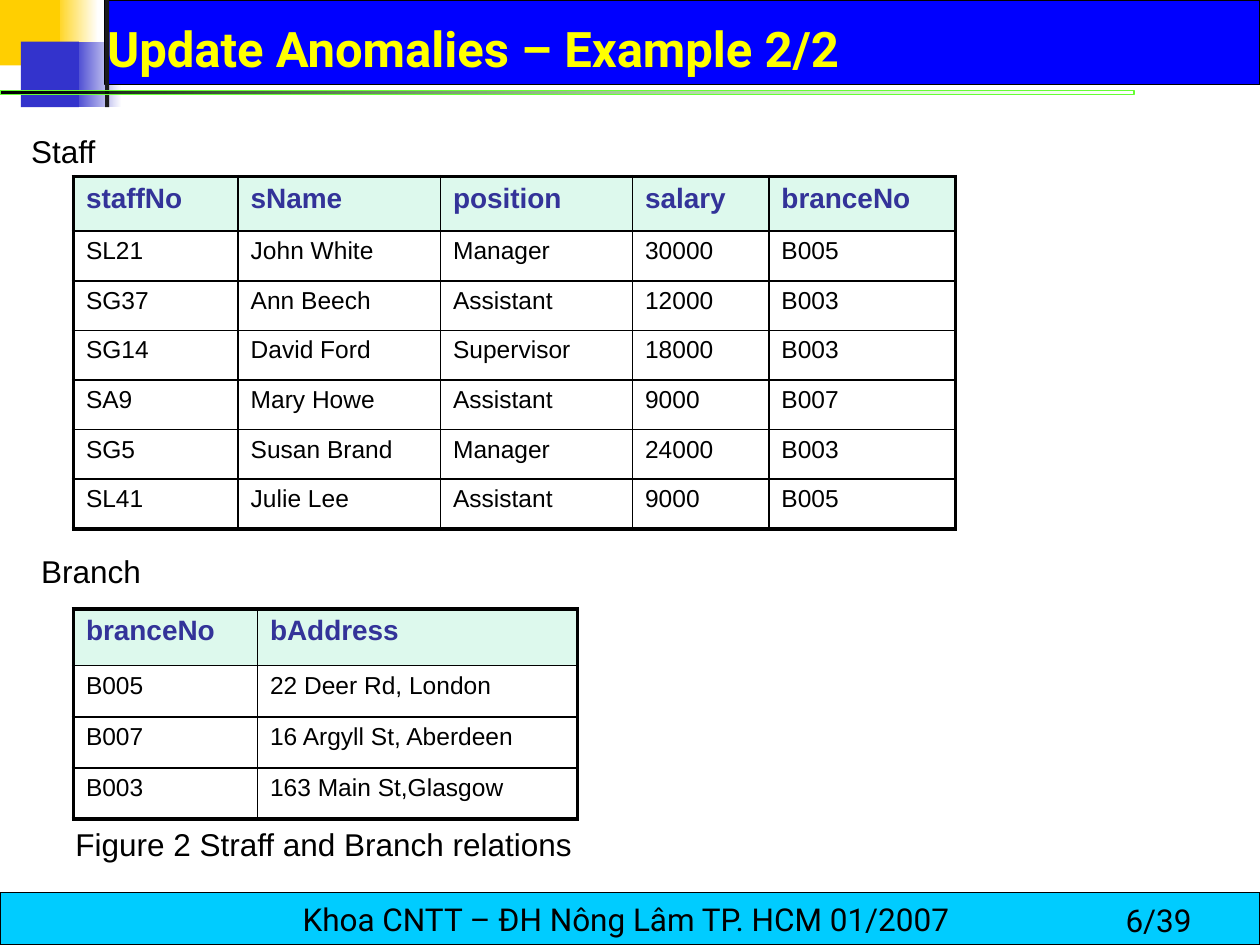
import lxml.etree
import pptx
import pptx.dml.color
import pptx.enum.shapes
import pptx.enum.text
import pptx.oxml.ns
import pptx.util

Cm = pptx.util.Cm
Pt = pptx.util.Pt
RGBColor = pptx.dml.color.RGBColor
ANCHOR = pptx.enum.text.MSO_ANCHOR
ALIGN = pptx.enum.text.PP_ALIGN
qn = pptx.oxml.ns.qn

BLACK = RGBColor(0x00, 0x00, 0x00)
WHITE = RGBColor(0xFF, 0xFF, 0xFF)
CHARCOAL = RGBColor(0x1C, 0x1C, 0x1C)
GOLD = RGBColor(0xFF, 0xCF, 0x01)
INDIGO = RGBColor(0x33, 0x33, 0xCC)
BLUE = RGBColor(0x00, 0x00, 0xFF)
CYAN = RGBColor(0x00, 0xCC, 0xFF)
GREEN = RGBColor(0x66, 0xFF, 0x33)
YELLOW = RGBColor(0xFF, 0xFF, 0x00)
MINT = RGBColor(0xDD, 0xF9, 0xED)
NAVY = RGBColor(0x33, 0x33, 0x99)

STAFF = [
    ["staffNo", "sName", "position", "salary", "branceNo"],
    ["SL21", "John White", "Manager", "30000", "B005"],
    ["SG37", "Ann Beech", "Assistant", "12000", "B003"],
    ["SG14", "David Ford", "Supervisor", "18000", "B003"],
    ["SA9", "Mary Howe", "Assistant", "9000", "B007"],
    ["SG5", "Susan Brand", "Manager", "24000", "B003"],
    ["SL41", "Julie Lee", "Assistant", "9000", "B005"],
]
BRANCH = [
    ["branceNo", "bAddress"],
    ["B005", "22 Deer Rd, London"],
    ["B007", "16 Argyll St, Aberdeen"],
    ["B003", "163 Main St,Glasgow"],
]


class SlideBuilder:
    body_font = "Arial"
    master_font = "Roboto"
    outer_border = Pt(2.25)
    inner_border = Pt(1)

    def __init__(self, slide):
        self.slide = slide

    def add_text_run(self, frame, text, size=18, font=body_font, color=BLACK, bold=False):
        paragraph = frame.paragraphs[0]
        run = paragraph.add_run()
        run.text = text
        run.font.size = Pt(size)
        run.font.name = font
        run.font.color.rgb = color
        run.font.bold = bold
        return paragraph

    def rectangle(self, left, top, width, height, color, fade=None, line=None, line_width=0.75):
        shape = self.slide.shapes.add_shape(
            pptx.enum.shapes.MSO_SHAPE.RECTANGLE, Cm(left), Cm(top), Cm(width), Cm(height))
        shape.shadow.inherit = False
        if fade is None:
            shape.fill.solid()
            shape.fill.fore_color.rgb = color
        else:
            shape.fill.gradient()
            shape.fill.gradient_angle = 0
            for stop, stop_color in zip(shape.fill.gradient_stops, (color, fade)):
                stop.color.rgb = stop_color
        if line is None:
            shape.line.fill.background()
        else:
            shape.line.color.rgb = line
            shape.line.width = Pt(line_width)
        return shape

    def clear_fade(self, shape):
        gradient = shape._element.spPr.find(qn("a:gradFill"))
        end_color = list(gradient.iter(qn("a:srgbClr")))[-1]
        lxml.etree.SubElement(end_color, qn("a:alpha"), val="0")

    def text(self, left, top, width, height, text, anchor=ANCHOR.TOP, **style):
        frame = self.slide.shapes.add_textbox(
            Cm(left), Cm(top), Cm(width), Cm(height)).text_frame
        frame.word_wrap = True
        frame.vertical_anchor = anchor
        self.add_text_run(frame, text, **style)

    def borders(self, cell, outer_sides):
        properties = cell._tc.get_or_add_tcPr()
        for side in "LRTB":
            width = self.outer_border if side in outer_sides else self.inner_border
            border = lxml.etree.SubElement(properties, qn("a:ln" + side), w=str(int(width)))
            fill = lxml.etree.SubElement(border, qn("a:solidFill"))
            lxml.etree.SubElement(fill, qn("a:srgbClr"), val=str(BLACK))

    def table(self, left, top, widths, header_height, row_height, rows):
        heights = [header_height] + [row_height] * (len(rows) - 1)
        table = self.slide.shapes.add_table(
            len(rows), len(widths), Cm(left), Cm(top),
            Cm(sum(widths)), Cm(sum(heights))).table
        table.first_row = False
        table.horz_banding = False
        for column, width in zip(table.columns, widths):
            column.width = Cm(width)
        for row, height in zip(table.rows, heights):
            row.height = Cm(height)
        last_row, last_column = len(rows) - 1, len(widths) - 1
        for i, values in enumerate(rows):
            for j, value in enumerate(values):
                cell = table.cell(i, j)
                edges = {"L": j == 0, "R": j == last_column, "T": i == 0, "B": i == last_row}
                self.borders(cell, [side for side, outer in edges.items() if outer])
                if i == 0:
                    cell.fill.solid()
                    cell.fill.fore_color.rgb = MINT
                    self.add_text_run(cell.text_frame, value, size=16, color=NAVY, bold=True)
                else:
                    cell.fill.background()
                    self.add_text_run(cell.text_frame, value, size=14)

    def footer(self, left, top, width, height, text):
        shape = self.rectangle(left, top, width, height, CYAN, line=BLACK)
        frame = shape.text_frame
        frame.word_wrap = False
        frame.vertical_anchor = ANCHOR.MIDDLE
        self.add_text_run(frame, text, font=self.master_font).alignment = ALIGN.CENTER


def main():
    presentation = pptx.Presentation()
    presentation.slide_width = Cm(25.4)
    presentation.slide_height = Cm(19.05)
    builder = SlideBuilder(presentation.slides.add_slide(presentation.slide_layouts[6]))

    builder.rectangle(1.06, 0, 0.92, 1.32, GOLD, fade=WHITE)
    builder.rectangle(1.44, 0.84, 1.02, 1.32, INDIGO, fade=WHITE)
    builder.rectangle(2.12, 0, 23.28, 1.7, BLUE, line=BLACK)
    builder.rectangle(0, 0, 1.21, 1.32, GOLD)
    builder.rectangle(0.42, 0.84, 1.17, 1.32, INDIGO)
    builder.rectangle(2.12, 0, 0.08, 2.16, CHARCOAL)
    rule = builder.rectangle(0, 1.82, 22.86, 0.08, BLACK, fade=GREEN, line=GREEN, line_width=0)
    builder.clear_fade(rule)
    builder.footer(0, 17.99, 25.4, 1.06, "Khoa CNTT – ĐH Nông Lâm TP. HCM 01/2007 ")
    builder.text(22.44, 18.03, 2.96, 1.02, "6/39", font=builder.master_font)

    builder.table(1.48, 3.56, [3.32, 4.08, 3.87, 2.75, 3.76], 1.1, 1, STAFF)
    builder.table(1.48, 12.28, [3.71, 6.45], 1.14, 1.03, BRANCH)
    builder.text(1.27, 16.51, 11.85, 1.02, "Figure 2 Straff and Branch relations")
    builder.text(0.38, 2.54, 3.05, 1.02, "Staff")
    builder.text(0.58, 11.01, 2.75, 1.02, "Branch")
    builder.text(1.91, 0.71, 21.59, 0.97, "Update Anomalies – Example 2/2", anchor=ANCHOR.BOTTOM,
                 size=28, font=builder.master_font, color=YELLOW, bold=True)

    presentation.save("out.pptx")


if __name__ == "__main__":
    main()
